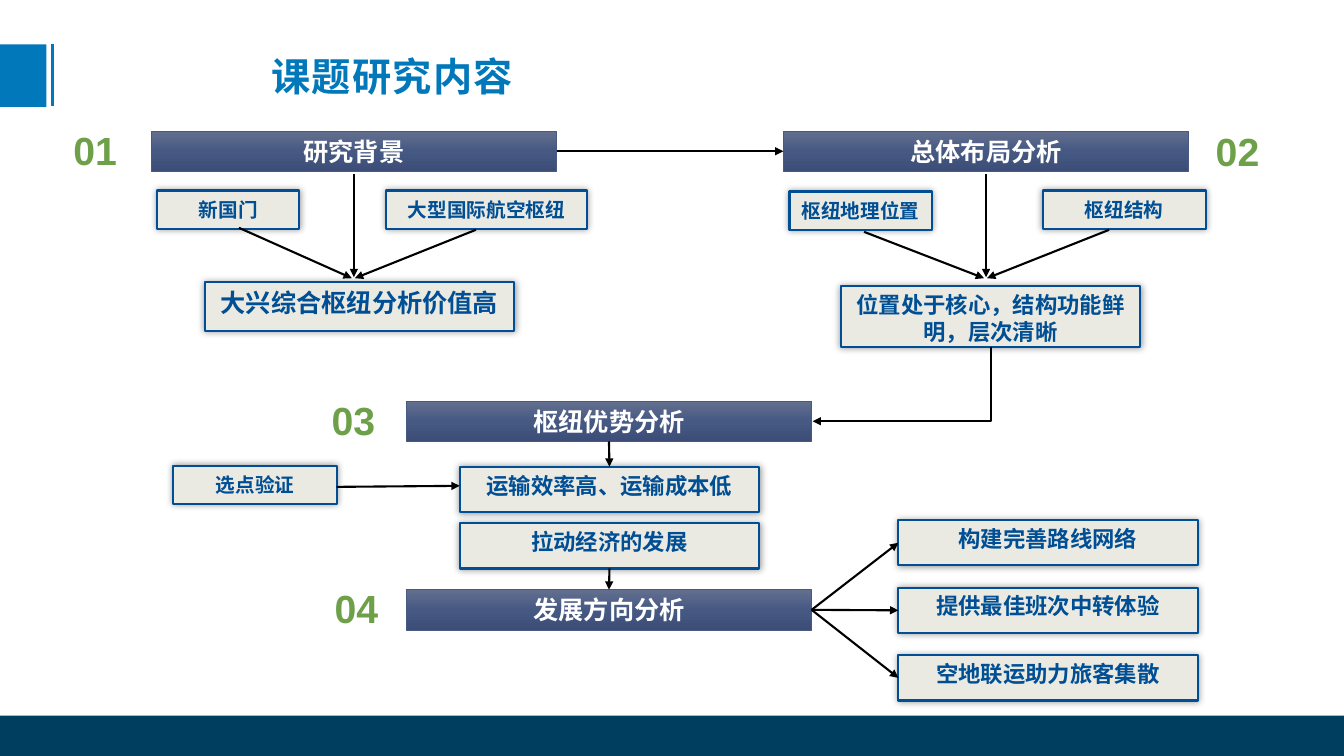
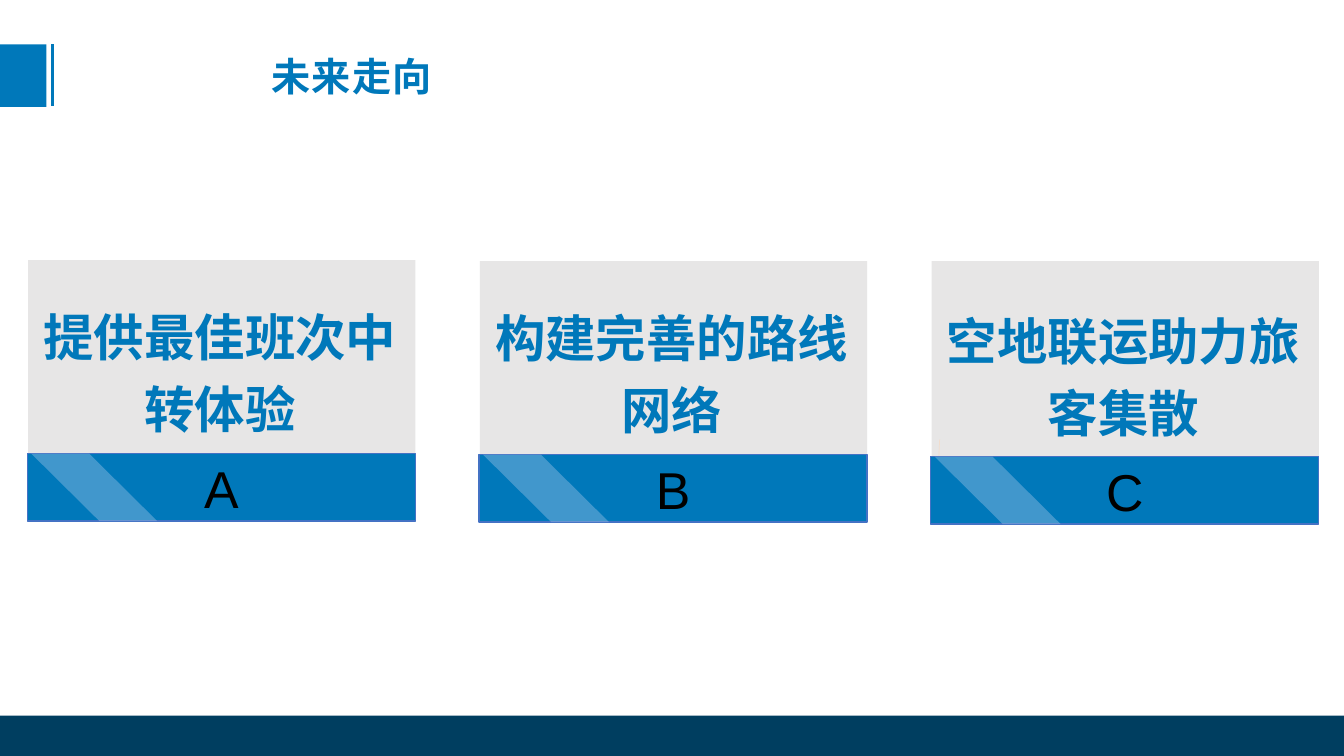
import dataclasses

import lxml.etree
import pptx
import pptx.dml.color
import pptx.enum.shapes
import pptx.enum.text
import pptx.oxml.ns
import pptx.util

Inches = pptx.util.Inches
Pt = pptx.util.Pt
Shape = pptx.enum.shapes.MSO_SHAPE
Connector = pptx.enum.shapes.MSO_CONNECTOR
Align = pptx.enum.text.PP_ALIGN
Anchor = pptx.enum.text.MSO_ANCHOR
qn = pptx.oxml.ns.qn

TOP, LEFT, BOTTOM, RIGHT = range(4)


@dataclasses.dataclass(frozen=True)
class TextStyle:
    size: int
    color: str
    font: str = "Noto Sans CJK SC"
    bold: bool = True
    spacing: int = 0


@dataclasses.dataclass(frozen=True)
class Theme:
    blue: str = "0078BA"
    navy: str = "003E60"
    card: str = "E7E6E6"
    box: str = "EBEAE2"
    box_line: str = "004E94"
    bar_line: str = "495A80"
    letter_line: str = "4472C4"
    stripe: str = "9DC3E6"
    accent: str = "F2DDCD"
    black: str = "000000"
    gradient: tuple = ((0, "636F8F"), (50, "465983"), (100, "3C4E77"))
    title: TextStyle = TextStyle(28, "0078BA", spacing=100)
    number: TextStyle = TextStyle(28, "6EA049", "Arial")
    heading: TextStyle = TextStyle(18, "FFFFFF")
    conclusion: TextStyle = TextStyle(18, "004E94")
    detail: TextStyle = TextStyle(16, "004E94")
    label: TextStyle = TextStyle(14, "004E94")
    statement: TextStyle = TextStyle(36, "0078BA")
    letter: TextStyle = TextStyle(37, "000000", "Arial", False)


def rgb(value):
    return pptx.dml.color.RGBColor.from_string(value)


def assign(target, values):
    for name, value in values.items():
        setattr(target, name, value)


def add_element(parent, tag, **attributes):
    return lxml.etree.SubElement(parent, qn(tag), attributes)


class Deck:
    def __init__(self, theme):
        self.theme = theme
        self.presentation = pptx.Presentation()
        assign(self.presentation, {"slide_width": Inches(13.33), "slide_height": Inches(7.5)})
        self.layout = self.presentation.slide_layouts[5]
        assign(self.layout.placeholders[0], {
            "left": Inches(2.59), "top": Inches(0.47),
            "width": Inches(2.88), "height": Inches(0.57),
        })
        self.slide = None

    def add_slide(self, title):
        first = self.slide is None
        self.slide = self.presentation.slides.add_slide(self.layout)
        if first:
            self.decorate_layout()
        self.set_text(self.slide.shapes.title, title, self.theme.title, Align.LEFT)

    def decorate_layout(self):
        theme = self.theme
        decorations = (
            self.rectangle(0, 7.1, 13.33, 0.4, theme.navy),
            self.rectangle(0, 0.44, 0.46, 0.62, theme.blue),
            self.line((0.52, 0.44), (0.52, 1.05), theme.blue, 2.25),
        )
        for decoration in decorations:
            self.layout.shapes.element.append(decoration.element)

    def set_text(self, shape, text, style, align=Align.CENTER, anchor=Anchor.MIDDLE, line_spacing=None):
        frame = shape.text_frame
        assign(frame, {
            "word_wrap": True, "auto_size": pptx.enum.text.MSO_AUTO_SIZE.NONE,
            "vertical_anchor": anchor,
        })
        paragraph = frame.paragraphs[0]
        assign(paragraph, {"alignment": align, "line_spacing": line_spacing})
        run = paragraph.add_run()
        run.text = text
        assign(run.font, {"size": Pt(style.size), "bold": style.bold, "name": style.font})
        run.font.color.rgb = rgb(style.color)
        properties = run._r.find(qn("a:rPr"))
        add_element(properties, "a:ea", typeface=style.font)
        if style.spacing:
            properties.set("spc", str(style.spacing))

    def text(self, left, top, width, height, text, style, **options):
        shape = self.slide.shapes.add_textbox(*map(Inches, (left, top, width, height)))
        self.set_text(shape, text, style, **options)

    def rectangle(self, left, top, width, height, fill, line=None, line_width=1, kind=Shape.RECTANGLE):
        shape = self.slide.shapes.add_shape(kind, *map(Inches, (left, top, width, height)))
        shape.fill.solid()
        shape.fill.fore_color.rgb = rgb(fill)
        if line:
            shape.line.color.rgb = rgb(line)
            shape.line.width = Pt(line_width)
        else:
            shape.line.fill.background()
        shape.shadow.inherit = False
        return shape

    def box(self, left, top, width, height, text, style, anchor=Anchor.TOP):
        shape = self.rectangle(left, top, width, height, self.theme.box, self.theme.box_line, 1.5)
        effects = shape.element.spPr.find(qn("a:effectLst"))
        shadow = add_element(effects, "a:outerShdw", blurRad=str(Pt(5)), dist="0", dir="0",
                             algn="ctr", rotWithShape="0")
        color = add_element(shadow, "a:srgbClr", val=self.theme.black)
        add_element(color, "a:alpha", val="40000")
        self.set_text(shape, text, style, anchor=anchor)
        return shape

    def label(self, left, top, width, text):
        return self.box(left, top, width, 0.38, text, self.theme.label, Anchor.MIDDLE)

    def detail(self, left, top, text, height=0.45):
        return self.box(left, top, 2.97, height, text, self.theme.detail)

    def heading(self, left, top, text):
        shape = self.rectangle(left, top, 4.02, 0.4, self.theme.navy, self.theme.bar_line, 0.5)
        shape.fill.gradient()
        shape.fill.gradient_angle = 270
        stops = shape.element.spPr.find(".//" + qn("a:gsLst"))
        for stop in list(stops):
            stops.remove(stop)
        for position, color in self.theme.gradient:
            stop = add_element(stops, "a:gs", pos=str(position * 1000))
            add_element(stop, "a:srgbClr", val=color)
        self.set_text(shape, text, self.theme.heading)
        return shape

    def number(self, left, top, text):
        self.text(left, top, 0.76, 0.57, text, self.theme.number, align=Align.LEFT, anchor=Anchor.TOP)

    def line(self, start, end, color, width, kind=Connector.STRAIGHT):
        connector = self.slide.shapes.add_connector(kind, *map(Inches, start + end))
        connector.line.color.rgb = rgb(color)
        connector.line.width = Pt(width)
        add_element(connector.element.spPr, "a:effectLst")
        return connector

    def arrow(self, start, end, kind=Connector.STRAIGHT):
        connector = self.line(start, end, self.theme.black, 1.5, kind)
        add_element(connector.element.spPr.find(qn("a:ln")), "a:tailEnd", type="triangle")
        return connector

    def join(self, source, source_side, target, target_side):
        connector = self.arrow((0, 0), (1, 1))
        connector.begin_connect(source, source_side)
        connector.end_connect(target, target_side)

    def down_then_left(self, start, end):
        run, drop = start[0] - end[0], end[1] - start[1]
        left = (start[0] + end[0] - drop) / 2
        top = (start[1] + end[1] - run) / 2
        connector = self.arrow((left, top), (left + drop, top + run), Connector.ELBOW)
        properties = connector.element.spPr
        properties.find(qn("a:xfrm")).set("rot", "5400000")
        properties.find(qn("a:prstGeom")).set("prst", "bentConnector2")

    def stripe(self, left, top):
        shape = self.rectangle(left, top, 1.25, 0.67, self.theme.stripe, kind=Shape.PARALLELOGRAM)
        shape.adjustments[0] = 1.009
        properties = shape.element.spPr
        properties.find(qn("a:xfrm")).set("flipH", "1")
        add_element(properties.find(".//" + qn("a:srgbClr")), "a:alpha", val="42000")

    def letter_bar(self, left, top, text):
        bar = self.rectangle(left, top, 3.85, 0.67, self.theme.blue, self.theme.letter_line)
        self.set_text(bar, text, self.theme.letter)
        self.stripe(left + 0.04, top)


def build_research_slide(deck):
    deck.add_slide("课题研究内容")
    for left, top, text in ((0.63, 1.2, "01"), (11.96, 1.21, "02"),
                            (3.19, 3.88, "03"), (3.22, 5.75, "04")):
        deck.number(left, top, text)

    background = deck.heading(1.5, 1.3, "研究背景")
    layout = deck.heading(7.77, 1.3, "总体布局分析")
    advantages = deck.heading(4.03, 3.98, "枢纽优势分析")
    directions = deck.heading(4.03, 5.85, "发展方向分析")

    for left, top, width, text in ((1.56, 1.89, 1.41, "新国门"),
                                   (3.83, 1.89, 1.99, "大型国际航空枢纽"),
                                   (7.83, 1.9, 1.41, "枢纽地理位置"),
                                   (10.34, 1.89, 1.62, "枢纽结构"),
                                   (1.72, 4.62, 1.62, "选点验证")):
        deck.label(left, top, width, text)

    deck.box(2.03, 2.8, 3.07, 0.48, "大兴综合枢纽分析价值高", deck.theme.conclusion)
    deck.detail(8.34, 2.84, "位置处于核心，结构功能鲜明，层次清晰", 0.6)
    efficiency = deck.detail(4.56, 4.63, "运输效率高、运输成本低")
    economy = deck.detail(4.56, 5.19, "拉动经济的发展")

    for center, left_start, right_start in ((3.51, (2.37, 2.26), (4.72, 2.28)),
                                            (9.78, (8.57, 2.3), (11, 2.28))):
        deck.arrow((center, 1.73), (center, 2.75))
        deck.arrow(left_start, (center - 0.02, 2.76))
        deck.arrow(right_start, (center + 0.01, 2.76))

    deck.join(background, RIGHT, layout, LEFT)
    deck.join(advantages, BOTTOM, efficiency, TOP)
    deck.join(economy, BOTTOM, directions, TOP)
    deck.arrow((3.34, 4.83), (4.56, 4.82))
    deck.down_then_left((9.83, 3.44), (8.06, 4.18))

    for index, text in enumerate(("构建完善路线网络", "提供最佳班次中转体验", "空地联运助力旅客集散")):
        direction = deck.detail(8.91, 5.16 + 0.67 * index, text)
        deck.join(directions, RIGHT, direction, LEFT)


def build_future_slide(deck):
    deck.add_slide("未来走向")
    cards = (("A", "提供最佳班次中转体验", 2.58, 4.5, 3.16),
             ("B", "构建完善的路线网络", 2.59, 4.51, 3.17),
             ("C", "空地联运助力旅客集散", 2.59, 4.53, 3.2))
    for index, (letter, text, card_top, bar_top, text_top) in enumerate(cards):
        left = 0.27 + 4.48 * index
        deck.rectangle(left + 0.01, card_top, 3.84, 1.94, deck.theme.card)
        deck.text(left, text_top, 3.82, 0.95, text, deck.theme.statement, line_spacing=1.2)
        if letter == "C":
            deck.line((9.32, 4.36), (9.3, 4.76), deck.theme.accent, 0.5)
        deck.letter_bar(left, bar_top, letter)


def main():
    deck = Deck(Theme())
    build_research_slide(deck)
    build_future_slide(deck)
    deck.presentation.save("out.pptx")


if __name__ == "__main__":
    main()
